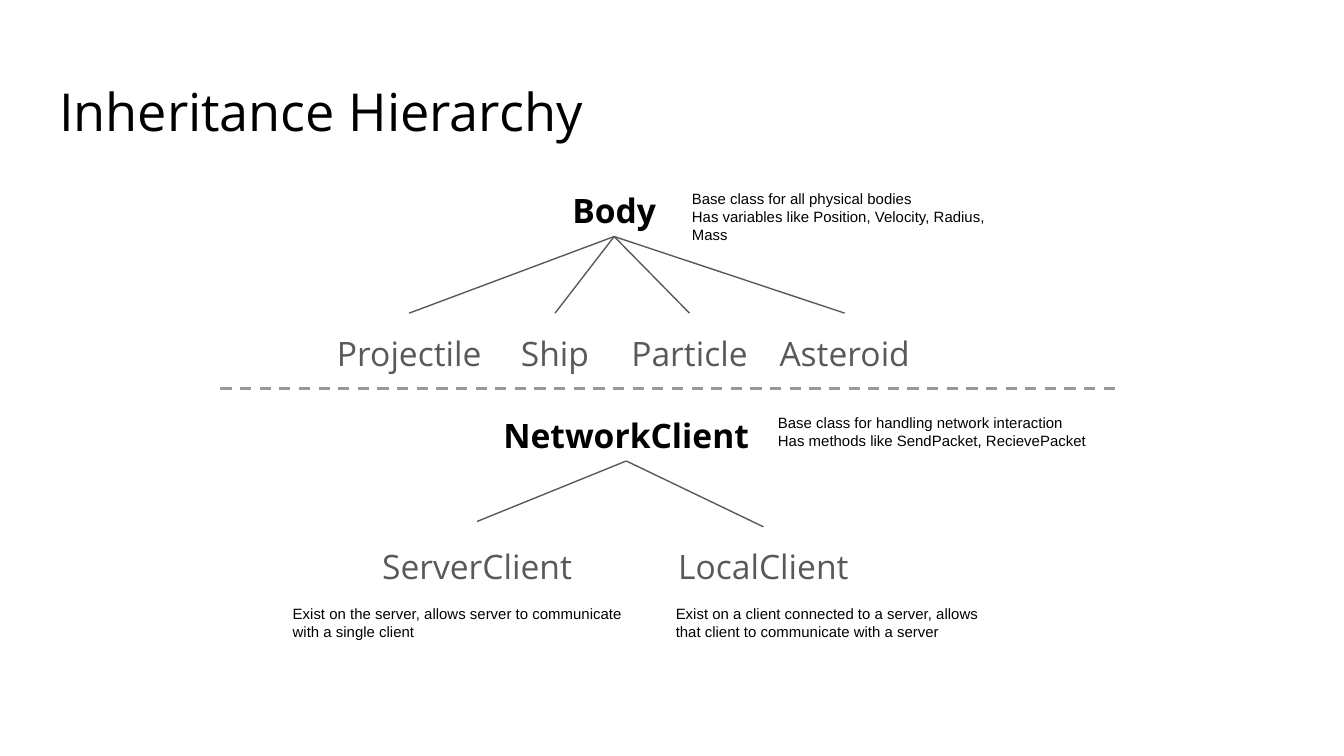
from pptx import Presentation
from pptx.dml.color import RGBColor
from pptx.enum.dml import MSO_LINE_DASH_STYLE as Dash
from pptx.enum.shapes import MSO_CONNECTOR as Connector
from pptx.enum.text import MSO_ANCHOR as Anchor, MSO_AUTO_SIZE as AutoSize, PP_ALIGN as Align
from pptx.oxml.ns import qn
from pptx.util import Inches, Pt
from lxml import etree

TITLE = {"name": "Open Sans", "size": Pt(28), "bold": False, "color": "000000"}
PARENT = {"name": "Open Sans", "size": Pt(18), "bold": True, "color": "000000"}
CHILD = {"name": "Open Sans", "size": Pt(18), "bold": False, "color": "595959"}
NOTE = {"name": "Arial", "size": Pt(8), "bold": False, "color": "000000"}
CLASS_PARAGRAPH = {"alignment": Align.CENTER, "line_spacing": 1.15, "space_after": Pt(16)}
LEFT_PARAGRAPH = {"alignment": Align.LEFT}
FRAME = {"word_wrap": True, "auto_size": AutoSize.NONE, "vertical_anchor": Anchor.TOP,
         "margin_left": Inches(0.1), "margin_top": Inches(0.1),
         "margin_right": Inches(0.1), "margin_bottom": Inches(0.1)}


def write_text(shape, lines, font_format, paragraph_format):
    frame = shape.text_frame
    frame.text = "\n".join(lines)
    for name, value in FRAME.items():
        setattr(frame, name, value)
    for paragraph in frame.paragraphs:
        for name, value in paragraph_format.items():
            setattr(paragraph, name, value)
        for name, value in font_format.items():
            if name == "color":
                paragraph.font.color.rgb = RGBColor.from_string(value)
            else:
                setattr(paragraph.font, name, value)


def add_line(start, end, color, width):
    line = slide.shapes.add_connector(Connector.STRAIGHT, *map(Inches, start + end))
    line.line.color.rgb = RGBColor.from_string(color)
    line.line.width = Pt(width)
    etree.SubElement(line._element.spPr, qn("a:effectLst"))
    return line


presentation = Presentation()
presentation.slide_width = Inches(10)
presentation.slide_height = Inches(10 * 9 / 16)
slide = presentation.slides.add_slide(presentation.slide_layouts[5])

title = slide.shapes.title
title.left, title.top, title.width, title.height = map(Inches, (0.34, 0.49, 9.32, 0.63))
write_text(title, ["Inheritance Hierarchy"], TITLE, LEFT_PARAGRAPH)

CLASS_HEIGHT = 0.49
hierarchies = [
    (("Body", 4.14, 1.27, 0.86), 2.33,
     [("Projectile", 2.35, 1.39, 0), ("Ship", 3.7, 0.86, 0),
      ("Particle", 4.57, 1.12, 0), ("Asteroid", 5.69, 1.19, 0)]),
    (("NetworkClient", 3.63, 2.94, 2.06), 3.92,
     [("ServerClient", 2.65, 1.8, 0.04), ("LocalClient", 4.65, 2.06, 0)]),
]
for (parent_name, left, top, width), child_top, children in hierarchies:
    parent = slide.shapes.add_textbox(*map(Inches, (left, top, width, CLASS_HEIGHT)))
    write_text(parent, [parent_name], PARENT, CLASS_PARAGRAPH)
    start = (left + width / 2, top + CLASS_HEIGHT)
    for child_name, child_left, child_width, gap in children:
        child = slide.shapes.add_textbox(
            *map(Inches, (child_left, child_top, child_width, CLASS_HEIGHT)))
        write_text(child, [child_name], CHILD, CLASS_PARAGRAPH)
        end = (child_left + child_width / 2, child_top - gap)
        branch = add_line(start, end, "595959", 0.75)
        branch.begin_connect(parent, 2)
        if not gap:
            branch.end_connect(child, 0)

notes = [
    (5.05, 1.31, 0.46, ["Base class for all physical bodies",
                        "Has variables like Position, Velocity, Radius, Mass"]),
    (5.69, 2.98, 0.46, ["Base class for handling network interaction",
                        "Has methods like SendPacket, RecievePacket"]),
    (2.08, 4.4, 0.42, ["Exist on the server, allows server to communicate with a single client"]),
    (4.93, 4.4, 0.42, ["Exist on a client connected to a server, allows that client "
                       "to communicate with a server"]),
]
for left, top, height, lines in notes:
    note = slide.shapes.add_textbox(*map(Inches, (left, top, 2.66, height)))
    write_text(note, lines, NOTE, LEFT_PARAGRAPH)

divider = add_line((1.64, 2.89), (8.31, 2.89), "999999", 1.5)
divider.line.dash_style = Dash.DASH

presentation.save("out.pptx")
